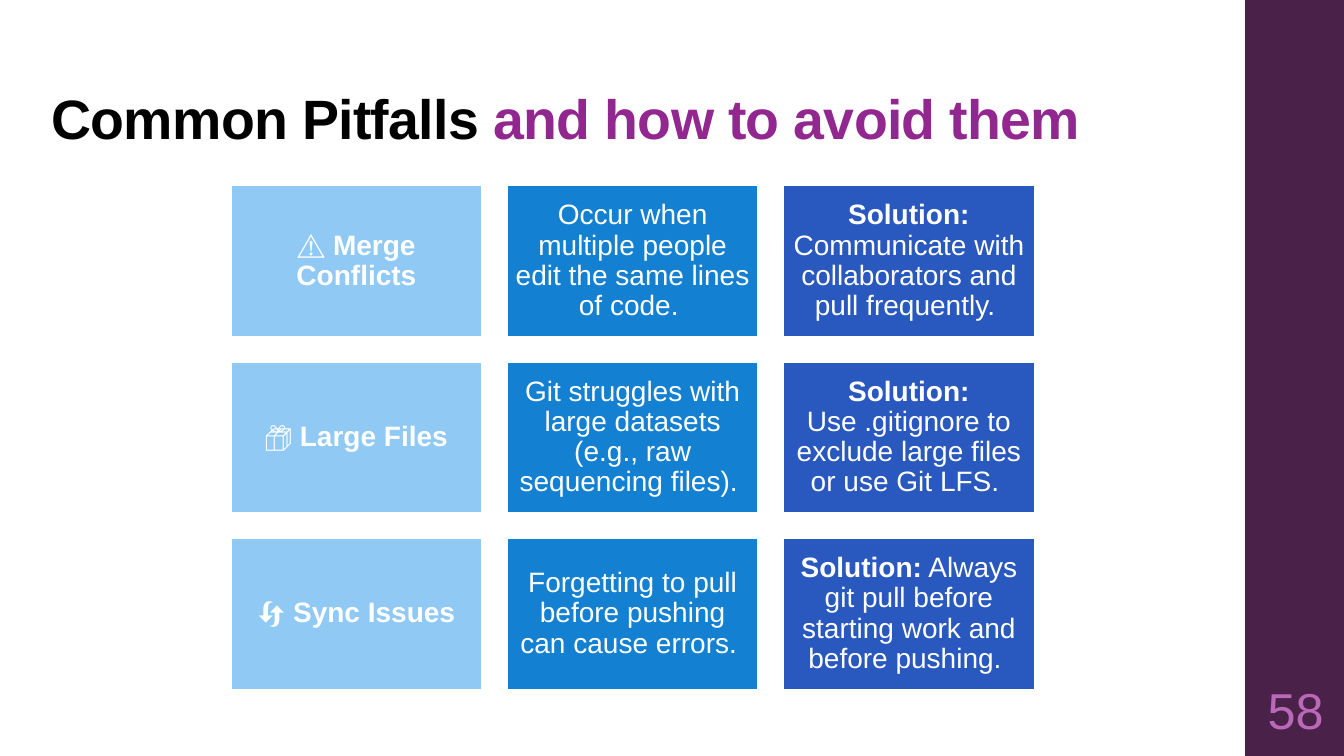
"""Build the slide on common Git pitfalls and how to avoid them."""
import pptx
import pptx.dml.color
import pptx.enum.shapes
import pptx.enum.text
import pptx.util

RGBColor = pptx.dml.color.RGBColor
WHITE = RGBColor(0xFF, 0xFF, 0xFF)
BLACK = RGBColor(0x00, 0x00, 0x00)
PURPLE = RGBColor(0x92, 0x27, 0x8F)
PLUM = RGBColor(0x4A, 0x22, 0x49)
ORCHID = RGBColor(0xBA, 0x69, 0xB8)
COLUMN_FILLS = (
    RGBColor(0x8F, 0xC9, 0xF4),
    RGBColor(0x14, 0x80, 0xD1),
    RGBColor(0x29, 0x58, 0xBE),
)

PX = 9144
LEFT, TOP = 229, 184
CARD_W, CARD_H = 249, 150
STEP_X, STEP_Y = 274, 175

PITFALLS = (
    ("⚠️ Merge Conflicts",
     "Occur when multiple people edit the same lines of code. ",
     " Communicate with collaborators and pull frequently. "),
    ("📦 Large Files",
     "Git struggles with large datasets (e.g., raw sequencing files). ",
     " Use .gitignore to exclude large files or use Git LFS. "),
    ("🔄 Sync Issues",
     "Forgetting to pull before pushing can cause errors. ",
     " Always git pull before starting work and before pushing. "),
)


class Deck:
    """Hold the style and the current slide."""

    font = "Arial"

    def __init__(self, width, height):
        """Start a presentation with one title-only slide."""
        self.prs = pptx.Presentation()
        self.prs.slide_width = width * PX
        self.prs.slide_height = height * PX
        self.slide = self.prs.slides.add_slide(self.prs.slide_layouts[5])

    def place(self, sp, x, y, w, h):
        """Set the position and size of a shape."""
        sp.left, sp.top, sp.width, sp.height = (v * PX for v in (x, y, w, h))

    def title(self, box, parts):
        """Fill the title placeholder with coloured runs."""
        sp = self.slide.shapes.title
        self.place(sp, *box)
        tf = sp.text_frame
        tf.auto_size = pptx.enum.text.MSO_AUTO_SIZE.NONE
        tf.vertical_anchor = pptx.enum.text.MSO_ANCHOR.BOTTOM
        p = tf.paragraphs[0]
        p.alignment = pptx.enum.text.PP_ALIGN.LEFT
        p.line_spacing = 0.9
        self.style(p, 39.6, True)
        for text, color in parts:
            r = p.add_run()
            r.text = text
            r.font.color.rgb = color
            r.font._element.set("spc", "-50")

    def style(self, p, size, bold=None, color=None):
        """Set the font of a paragraph."""
        p.font.name = self.font
        p.font.size = pptx.util.Pt(size)
        p.font.bold = bold
        if color is not None:
            p.font.color.rgb = color

    def rect(self, box, fill, line=None):
        """Add a flat rectangle."""
        sp = self.slide.shapes.add_shape(
            pptx.enum.shapes.MSO_SHAPE.RECTANGLE, *(v * PX for v in box))
        sp.shadow.inherit = False
        sp.fill.solid()
        sp.fill.fore_color.rgb = fill
        if line is None:
            sp.line.fill.background()
        else:
            sp.line.color.rgb = line
            sp.line.width = pptx.util.Pt(1.1)
        return sp

    def centred(self, sp, parts, size, color, inset):
        """Write centred text as (text, bold) runs in a shape."""
        tf = sp.text_frame
        tf.word_wrap = True
        tf.vertical_anchor = pptx.enum.text.MSO_ANCHOR.MIDDLE
        tf.margin_left = tf.margin_right = inset * PX
        tf.margin_top = tf.margin_bottom = inset * PX
        p = tf.paragraphs[0]
        p.alignment = pptx.enum.text.PP_ALIGN.CENTER
        p.line_spacing = 0.9
        self.style(p, size, color=color)
        for text, bold in parts:
            r = p.add_run()
            r.text = text
            r.font.bold = bold

    def card(self, box, fill, parts):
        """Add a filled card with white text."""
        self.centred(self.rect(box, fill, WHITE), parts, 20, WHITE, 8)

    def label(self, box, text, size, color):
        """Add a centred text box."""
        sp = self.slide.shapes.add_textbox(*(v * PX for v in box))
        self.centred(sp, [(text, False)], size, color, 5)


def main():
    """Compose and save the slide."""
    deck = Deck(1333, 750)
    deck.rect((1235, 0, 98, 750), PLUM)
    deck.title((41, 67, 1065, 88),
               [("Common Pitfalls ", BLACK), ("and how to avoid them", PURPLE)])
    deck.label((1235, 675, 100, 65), "58", 36, ORCHID)
    for row, (name, cause, solution) in enumerate(PITFALLS):
        cells = (
            [(name, True)],
            [(cause, False)],
            [("Solution:", True), (solution, False)],
        )
        for col, (fill, parts) in enumerate(zip(COLUMN_FILLS, cells)):
            box = (LEFT + col * STEP_X, TOP + row * STEP_Y, CARD_W, CARD_H)
            deck.card(box, fill, parts)
    deck.prs.save("out.pptx")


if __name__ == "__main__":
    main()
